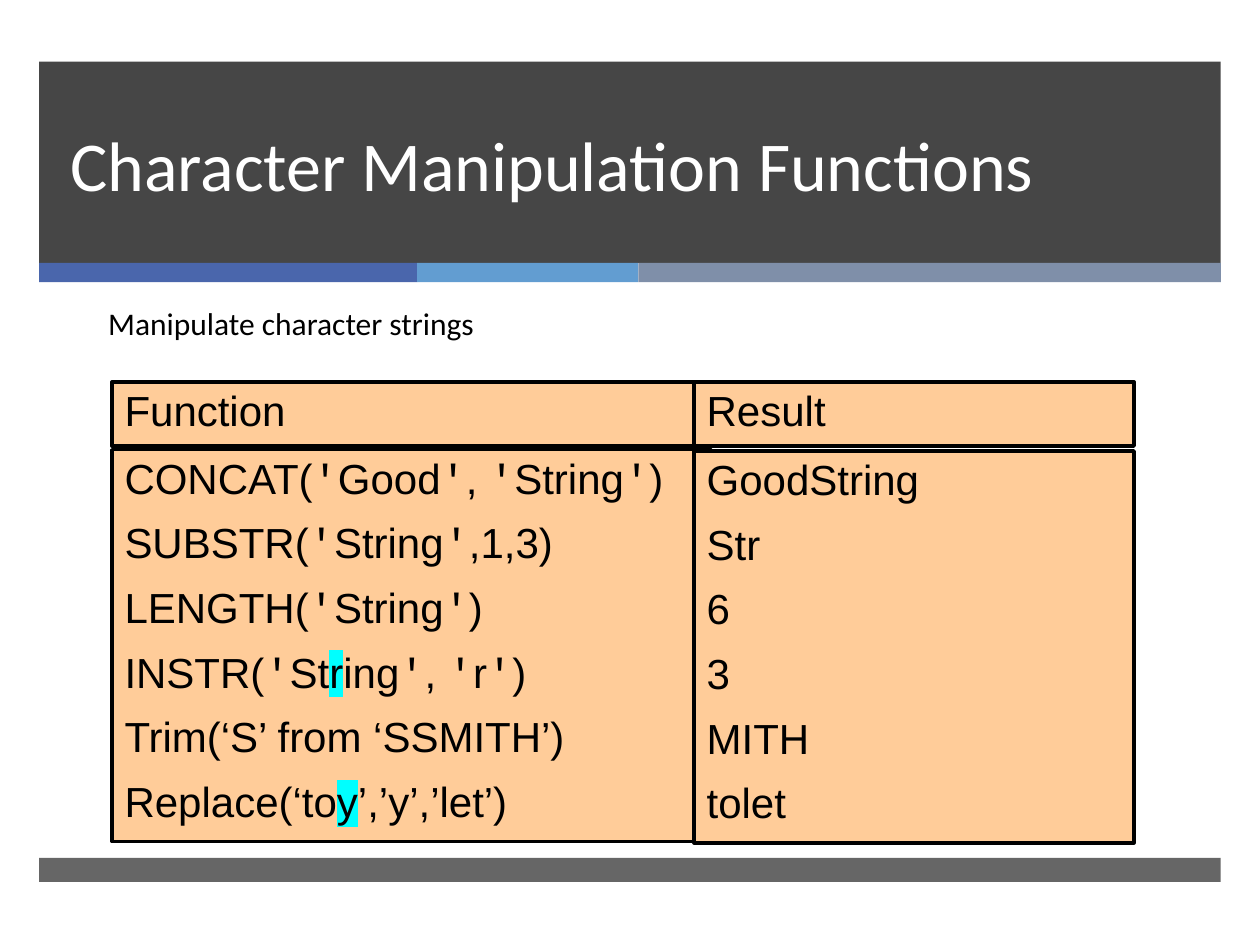
from itertools import groupby

from lxml.etree import SubElement
from pptx import Presentation
from pptx.dml.color import RGBColor
from pptx.enum.shapes import MSO_SHAPE as Shape
from pptx.enum.text import MSO_ANCHOR as Anchor, PP_ALIGN as Align
from pptx.oxml import parse_xml
from pptx.oxml.ns import nsdecls, qn
from pptx.util import Pt

CHARCOAL = RGBColor(0x26, 0x26, 0x26)
BLUE = RGBColor(0x4A, 0x66, 0xAC)
SKY = RGBColor(0x62, 0x9D, 0xD1)
SLATE = RGBColor(0x7F, 0x8F, 0xA9)
PEACH = RGBColor(0xFF, 0xCC, 0x99)
CYAN = RGBColor(0x00, 0xFF, 0xFF)
BLACK = RGBColor(0x00, 0x00, 0x00)
WHITE = RGBColor(0xFF, 0xFF, 0xFF)

# Text between bars is highlighted
EXAMPLES = [
    ("CONCAT('Good', 'String')", "GoodString"),
    ("SUBSTR('String',1,3)", "Str"),
    ("LENGTH('String')", "6"),
    ("INSTR('St|r|ing', 'r')", "3"),
    ("Trim(‘S’ from ‘SSMITH’)", "MITH"),
    ("Replace(‘to|y|’,’y’,’let’)", "tolet"),
]


def add_rectangle(page, left, top, width, height, color, opacity=100):
    box = page.shapes.add_shape(Shape.RECTANGLE, Pt(left), Pt(top), Pt(width), Pt(height))
    box.shadow.inherit = False
    box.fill.solid()
    box.fill.fore_color.rgb = color
    box.line.fill.background()
    if opacity < 100:
        color_node = box.fill._xPr.find(qn("a:solidFill"))[0]
        SubElement(color_node, qn("a:alpha")).set("val", str(opacity * 1000))
    return box


def style_font(font, name, size, color):
    font.name = name
    font.size = Pt(size)
    font.color.rgb = color


def highlight(span, color):
    node = parse_xml(f'<a:highlight {nsdecls("a")}><a:srgbClr val="{color}"/></a:highlight>')
    span.font._element.find(qn("a:solidFill")).addnext(node)


def add_heading(page, left, top, width, height, text, size, color, anchor):
    box = page.shapes.add_textbox(Pt(left), Pt(top), Pt(width), Pt(height))
    frame = box.text_frame
    frame.word_wrap = True
    frame.vertical_anchor = anchor
    frame.text = text
    para = frame.paragraphs[0]
    style_font(para.runs[0].font, "Calibri", size, color)
    return para


def add_banner(page, left, top, width, height):
    # Title panel with a three-colour stripe under it
    stripe = 11
    panel = height - stripe
    add_rectangle(page, left, top, width, panel, CHARCOAL, 85)
    for share, color in ((0.32, BLUE), (0.187, SKY), (0.493, SLATE)):
        add_rectangle(page, left, top + panel, width * share, stripe, color)
        left += width * share


def write_code(para, text):
    # Straight quotes are monospaced, the rest is Arial
    for index, part in enumerate(text.split("|")):
        for is_quote, letters in groupby(part, lambda letter: letter == "'"):
            span = para.add_run()
            span.text = "".join(letters)
            style_font(span.font, "Courier New" if is_quote else "Arial", 24, BLACK)
            if index % 2:
                highlight(span, CYAN)


def add_cell(page, left, top, width, height, lines):
    box = add_rectangle(page, left, top, width, height, PEACH)
    box.line.color.rgb = BLACK
    box.line.width = Pt(2)
    frame = box.text_frame
    frame.word_wrap = True
    frame.vertical_anchor = Anchor.TOP
    for index, line in enumerate(lines):
        para = frame.add_paragraph() if index else frame.paragraphs[0]
        para.alignment = Align.LEFT
        para.line_spacing = 0.95
        if index:
            para.space_before = Pt(9.6)
        write_code(para, line)


def add_examples(page, left, top, width, height):
    # Two columns of framed cells, headers in front of the bodies
    header = 36.7
    split = 332.6
    right, right_width = left + split, width - split
    functions, results = zip(*EXAMPLES)
    body = height - 39.5
    add_cell(page, left, top + 38.8, split + 10, body, functions)
    add_cell(page, right, top + 39.5, right_width, body, results)
    add_cell(page, left, top, split + 1.5, header, ["Function"])
    add_cell(page, right, top, right_width, header, ["Result"])


def main():
    deck = Presentation()
    deck.slide_width, deck.slide_height = Pt(720), Pt(540)
    page = deck.slides.add_slide(deck.slide_layouts[6])

    # Background bands
    add_banner(page, 22.4, 35.2, 675.2, 126)
    add_rectangle(page, 22.4, 490.2, 675.2, 13.8, CHARCOAL, 70)

    # Title
    title = add_heading(page, 33.1, 35.2, 615, 85.7, "Character Manipulation Functions",
                        40, WHITE, Anchor.BOTTOM)
    title.line_spacing = Pt(46)

    # Examples and their caption
    add_examples(page, 64.1, 218.2, 583.9, 263.4)
    add_heading(page, 54.7, 170, 652, 39.6, "Manipulate character strings",
                18, BLACK, Anchor.TOP)

    deck.save("out.pptx")


if __name__ == "__main__":
    main()
